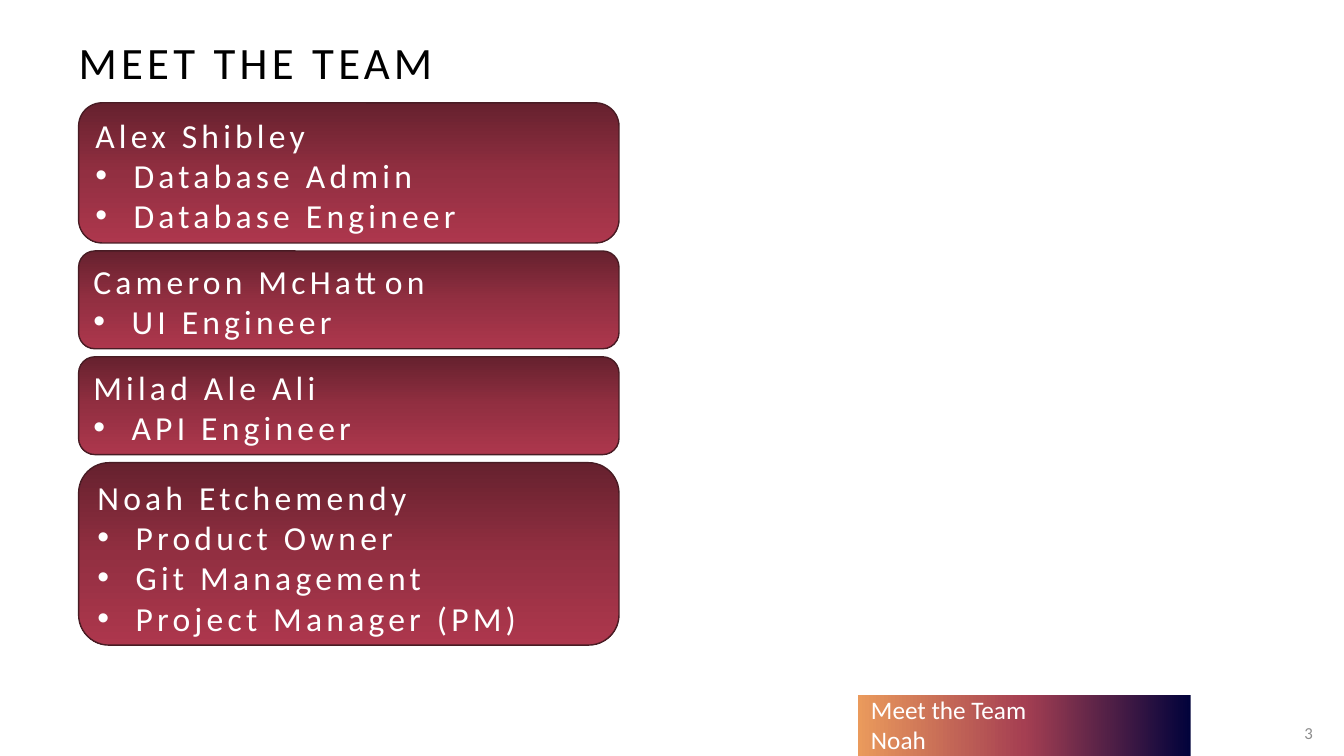
import copy
from dataclasses import dataclass

import pptx
import pptx.dml.color
import pptx.enum.shapes
import pptx.enum.text
import pptx.oxml
import pptx.oxml.ns
import pptx.util

TITLE = "MEET THE TEAM"
TEAM = [
    ("Alex Shibley", ["Database Admin", "Database Engineer"]),
    ("Cameron McHatton", ["UI Engineer"]),
    ("Milad Ale Ali", ["API Engineer"]),
    ("Noah Etchemendy", ["Product Owner", "Git Management", "Project Manager (PM)"]),
]
FOOTER = ["Meet the Team", "Noah"]
PAGE = "3"


@dataclass(frozen=True)
class Theme:
    font: str = "Calibri"
    ink: str = "000000"
    light: str = "FFFFFF"
    muted: str = "8C8C8C"
    card_border: str = "481C24"
    card: tuple = ("66212E", "922F41", "AD374D")
    band: tuple = ("01023B", "A53F52", "EA9A5C")
    title_size: int = 32
    card_size: int = 24
    footer_size: int = 18
    page_size: int = 12
    tracking: int = 300


THEME = Theme()
Inches, Pt = pptx.util.Inches, pptx.util.Pt
Align, Anchor = pptx.enum.text.PP_ALIGN, pptx.enum.text.MSO_ANCHOR
Preset = pptx.enum.shapes.MSO_SHAPE
qn = pptx.oxml.ns.qn

SLIDE_W, SLIDE_H = 13.33, 7.5
LEFT = 0.78
CARD_TOP, CARD_W, CARD_GAP = 1.02, 5.36, 0.08
NAME_ROW, ROLE_ROW = 0.55, 0.42
BULLET_INDENT = 0.38


def rgb(color):
    return pptx.dml.color.RGBColor.from_string(color)


def fill_gradient(shape, colors, angle):
    shape.fill.gradient()
    shape.fill.gradient_angle = angle
    stops = shape._element.spPr.find(qn("a:gradFill")).find(qn("a:gsLst"))
    stops.insert(1, copy.deepcopy(stops[0]))
    for index, (stop, color) in enumerate(zip(shape.fill.gradient_stops, colors)):
        stop.color.rgb = rgb(color)
        stop.position = index / (len(colors) - 1)


def add_panel(slide, preset, box, colors, angle):
    panel = slide.shapes.add_shape(preset, *map(Inches, box))
    panel.shadow.inherit = False
    fill_gradient(panel, colors, angle)
    return panel


def add_text_box(slide, box, anchor):
    text_box = slide.shapes.add_textbox(*map(Inches, box))
    text_box.text_frame.word_wrap = True
    text_box.text_frame.vertical_anchor = anchor
    return text_box.text_frame


def write_lines(frame, lines, size, color, align=Align.LEFT, tracking=0):
    for index, line in enumerate(lines):
        paragraph = frame.add_paragraph() if index else frame.paragraphs[0]
        paragraph.alignment = align
        run = paragraph.add_run()
        run.text = line
        run.font.name = THEME.font
        run.font.size = Pt(size)
        run.font.color.rgb = rgb(color)
        if tracking:
            run._r.get_or_add_rPr().set("spc", str(tracking))


def add_bullet(paragraph):
    properties = paragraph._p.get_or_add_pPr()
    properties.set("marL", str(Inches(BULLET_INDENT)))
    properties.set("indent", str(-Inches(BULLET_INDENT)))
    for tag, attribute, value in [("a:buFont", "typeface", "Arial"), ("a:buChar", "char", "•")]:
        mark = pptx.oxml.ns.OxmlElement(tag) if hasattr(pptx.oxml.ns, "OxmlElement") else \
            properties.makeelement(qn(tag), {})
        mark.set(attribute, value)
        properties.append(mark)


def add_member(slide, name, roles, top):
    height = NAME_ROW + ROLE_ROW * len(roles)
    card = add_panel(slide, Preset.ROUNDED_RECTANGLE, (LEFT, top, CARD_W, height), THEME.card, 270)
    card.line.color.rgb = rgb(THEME.card_border)
    card.line.width = Pt(1)
    frame = card.text_frame
    frame.word_wrap = True
    frame.vertical_anchor = Anchor.TOP
    write_lines(frame, [name, *roles], THEME.card_size, THEME.light, tracking=THEME.tracking)
    for role in frame.paragraphs[1:]:
        add_bullet(role)
    return top + height + CARD_GAP


def main():
    deck = pptx.Presentation()
    deck.slide_width, deck.slide_height = Inches(SLIDE_W), Inches(SLIDE_H)
    slide = deck.slides.add_slide(deck.slide_layouts[6])

    band = add_panel(slide, Preset.RECTANGLE, (8.51, 6.89, 3.3, 0.61), THEME.band, 180)
    band.line.fill.background()

    title = add_text_box(slide, (LEFT, 0.3, 4.39, 0.63), Anchor.MIDDLE)
    title.margin_left = title.margin_right = 0
    write_lines(title, [TITLE], THEME.title_size, THEME.ink, tracking=THEME.tracking)

    page = add_text_box(slide, (12.63, 7.07, 0.49, 0.4), Anchor.MIDDLE)
    write_lines(page, [PAGE], THEME.page_size, THEME.muted, Align.RIGHT)

    footer = add_text_box(slide, (8.54, 6.84, 3.18, 0.71), Anchor.TOP)
    write_lines(footer, FOOTER, THEME.footer_size, THEME.light)

    top = CARD_TOP
    for name, roles in TEAM:
        top = add_member(slide, name, roles, top)

    deck.save("out.pptx")


if __name__ == "__main__":
    main()
